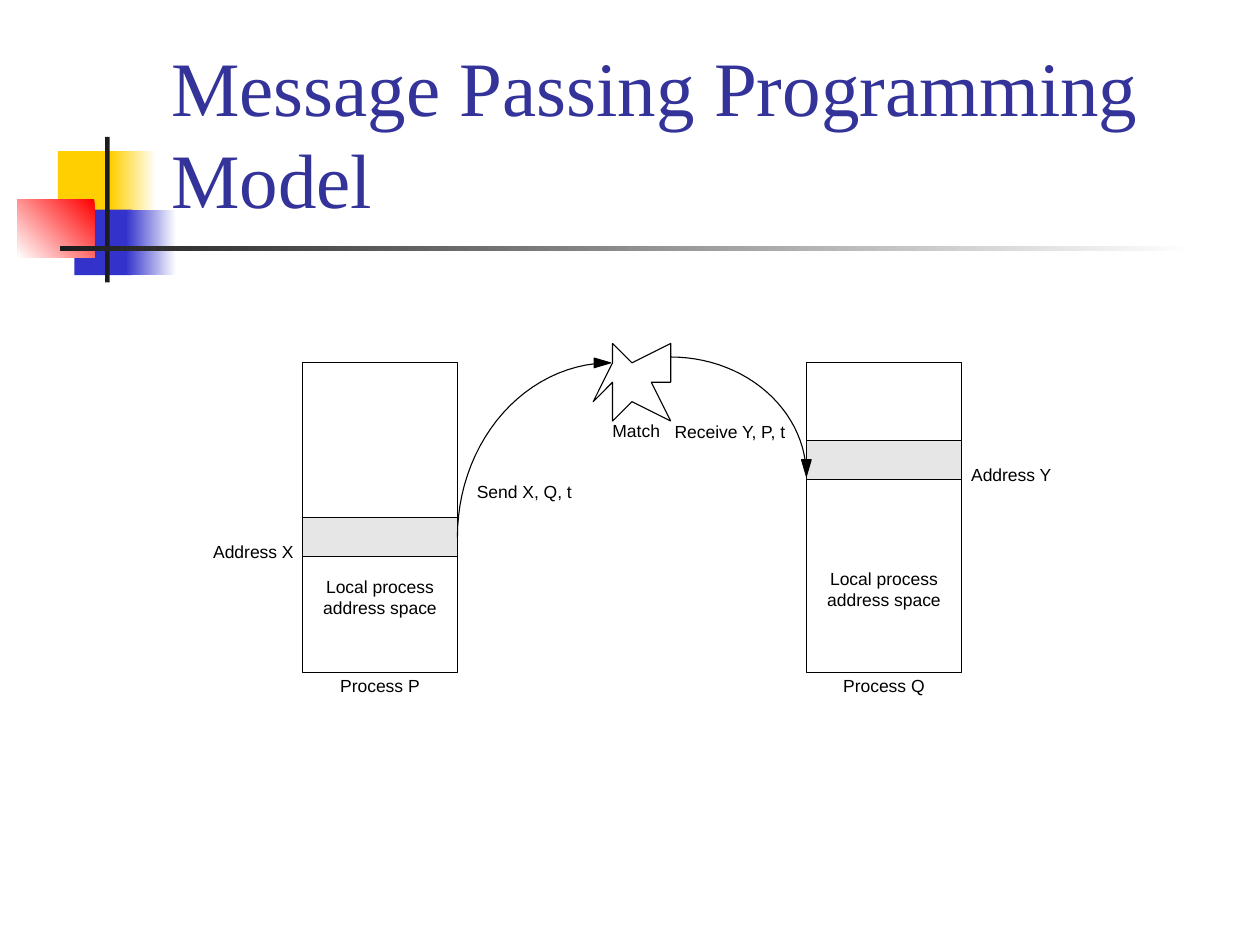
import math
from dataclasses import dataclass

from pptx import Presentation
from pptx.dml.color import RGBColor
from pptx.enum import shapes, text
from pptx.util import Inches, Pt


@dataclass(frozen=True)
class Theme:
    white: str = "FFFFFF"
    black: str = "000000"
    gold: str = "FFCF01"
    blue: str = "3333CC"
    red: str = "FF0000"
    dark: str = "1C1C1C"
    navy: str = "333399"
    grey: str = "E6E6E6"
    serif: str = "Times New Roman"
    sans: str = "Arial"
    head: int = 44
    body: int = 10
    line: float = 0.62


T = Theme()
WIDE, HIGH = Inches(10), Inches(7.5)
CELL = WIDE / 65  # the diagram lies on square cells
LEFT, TOP = 0.24 * WIDE, 0.384 * HIGH
BOX_W, BOX_H, SLOT_H = 8, 16, 2


def share(x, y, w, h):
    """Turn percentages of the slide into lengths."""
    return [round(n * full / 100) for n, full in zip((x, y, w, h), (WIDE, HIGH) * 2)]


def point(x, y):
    return round(LEFT + x * CELL), round(TOP + y * CELL)


def area(x, y, w, h):
    return *point(x, y), round(w * CELL), round(h * CELL)


def paint(shape, fill=None, line=None):
    shape.shadow.inherit = False
    if fill:
        shape.fill.solid()
        shape.fill.fore_color.rgb = RGBColor.from_string(fill)
    else:
        shape.fill.background()
    if line:
        shape.line.color.rgb = RGBColor.from_string(line)
        shape.line.width = Pt(T.line)
    else:
        shape.line.fill.background()


def rect(slide, place, fill, line=None):
    shape = slide.shapes.add_shape(shapes.MSO_SHAPE.RECTANGLE, *place)
    paint(shape, fill, line)
    return shape


def fade(slide, place, start, end, angle):
    """Add a rectangle with a gradient; the angle runs counter-clockwise."""
    fill = rect(slide, place, start).fill
    fill.gradient()
    fill.gradient_angle = angle
    for stop, color in zip(fill.gradient_stops, (start, end)):
        stop.color.rgb = RGBColor.from_string(color)


def outline(slide, cells, close=True, fill=None, line=T.black):
    first, *rest = [point(*cell) for cell in cells]
    form = slide.shapes.build_freeform(*first)
    form.add_line_segments(rest, close=close)
    paint(form.convert_to_shape(), fill, line)


def curve(slide, mid, radii, start, end):
    """Draw part of an ellipse; angles are in degrees, clockwise from the right."""
    steps = 24
    turns = [math.radians(start + (end - start) * i / steps) for i in range(steps + 1)]
    (x, y), (rx, ry) = mid, radii
    cells = [(x + rx * math.cos(a), y + ry * math.sin(a)) for a in turns]
    outline(slide, cells, close=False)


def arrow(slide, tip, dx, dy):
    """Draw an arrowhead that points along (dx, dy)."""
    (x, y), size, half = tip, 0.85, 0.25
    back = x - size * dx, y - size * dy
    wings = [(back[0] + s * dy, back[1] + s * dx) for s in (half, -half)]
    outline(slide, [tip, *wings], fill=T.black)


def write(slide, place, lines, font, size, color, align="LEFT", anchor="TOP", inset=(0, 0)):
    frame = slide.shapes.add_textbox(*place).text_frame
    frame.word_wrap = True
    frame.vertical_anchor = getattr(text.MSO_ANCHOR, anchor)
    frame.margin_left = frame.margin_right = Inches(inset[0])
    frame.margin_top = frame.margin_bottom = Inches(inset[1])
    for i, line in enumerate(lines):
        para = frame.add_paragraph() if i else frame.paragraphs[0]
        para.alignment = getattr(text.PP_ALIGN, align)
        run = para.add_run()
        run.text = line
        run.font.name, run.font.size = font, Pt(size)
        run.font.color.rgb = RGBColor.from_string(color)


def label(slide, x, y, w, *lines, align="LEFT"):
    write(slide, area(x, y, w, 1.1 * len(lines)), lines, T.sans, T.body, T.black, align)


def process(slide, x, slot, note, name):
    """Draw one address space with its shaded slot, note and name."""
    rect(slide, area(x, 0, BOX_W, BOX_H), T.white, T.black)
    rect(slide, area(x, slot, BOX_W, SLOT_H), T.grey, T.black)
    label(slide, x, note, BOX_W, "Local process", "address space", align="CENTER")
    label(slide, x, BOX_H + 0.1, BOX_W, name, align="CENTER")


def decor(slide):
    rect(slide, share(4.6, 16, 4.8, 6.93), T.gold)
    fade(slide, share(8.8, 16, 3.6, 6.93), T.white, T.gold, 180)
    rect(slide, share(5.9, 22.2, 4.6, 6.93), T.blue)
    fade(slide, share(10, 22.2, 4, 6.93), T.white, T.blue, 180)
    fade(slide, share(1.4, 21.1, 6.1, 6.2), T.red, T.white, 225)
    rect(slide, share(8.35, 14.5, 0.35, 15.4), T.dark)
    fade(slide, share(4.8, 26.05, 90, 0.5), T.white, T.dark, 180)


def title(slide):
    write(slide, share(12.6, 3.1, 85.2, 21.3), ["Message Passing Programming Model"],
          T.serif, T.head, T.navy, anchor="BOTTOM", inset=(0.1, 0.05))


def diagram(slide):
    process(slide, 0, 8, 11, "Process P")
    process(slide, 26, 4, 10.6, "Process Q")
    label(slide, -4.6, 9.2, 4.5, "Address X")
    label(slide, 34.5, 5.2, 5, "Address Y")
    label(slide, 9, 6.1, 6, "Send X, Q, t")
    label(slide, 19.2, 3, 6.6, "Receive Y, P, t")
    label(slide, 16, 2.95, 3, "Match")

    star = [(16, 0), (16, -1), (17, 0), (19, -1), (19, 1), (18, 1),
            (19, 3), (17, 2), (16, 3), (16, 1), (15, 2)]
    outline(slide, star)
    curve(slide, (15.9, 9), (7.9, 9), 180, 264)
    arrow(slide, (15.9, 0), 1, 0)
    curve(slide, (19, 5.85), (7, 6.15), 270, 353)
    arrow(slide, (26, 5.85), 0, 1)


def main():
    deck = Presentation()
    deck.slide_width, deck.slide_height = WIDE, HIGH
    slide = deck.slides.add_slide(deck.slide_layouts[6])
    decor(slide)
    title(slide)
    diagram(slide)
    deck.save("out.pptx")


if __name__ == "__main__":
    main()
